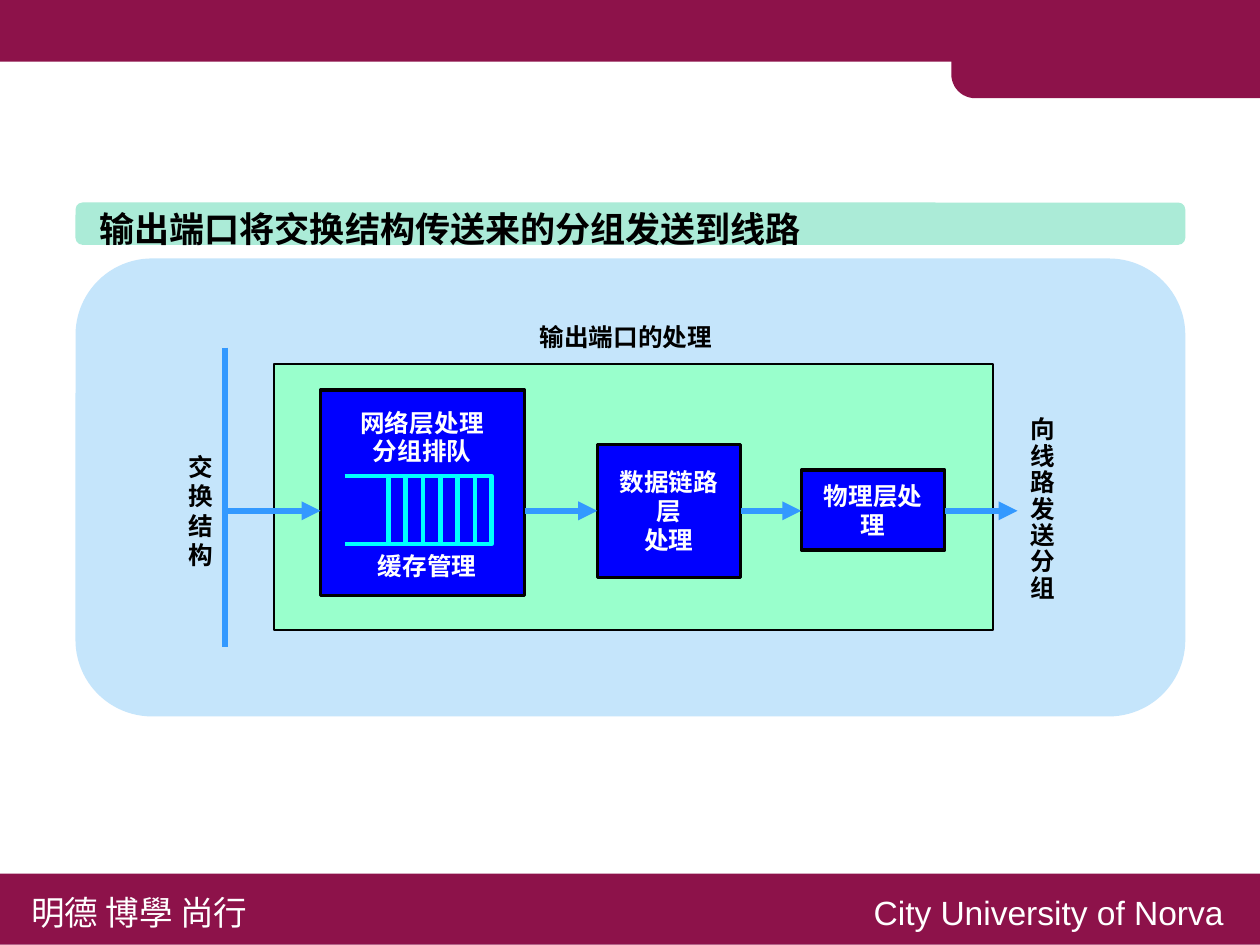
import lxml.etree
import pptx
import pptx.dml.color
import pptx.enum.shapes
import pptx.enum.text
import pptx.oxml.ns
import pptx.util

SHAPE = pptx.enum.shapes.MSO_SHAPE
ALIGN = pptx.enum.text.PP_ALIGN
ANCHOR = pptx.enum.text.MSO_ANCHOR
qn = pptx.oxml.ns.qn


class Theme:
    """Colours, fonts and type sizes of the slide."""
    maroon, white, black = "8D124A", "FFFFFF", "000000"
    panel, heading_band, port = "C5E5FB", "ABEBD7", "99FFCC"
    stage, flow, queue = "0000FF", "3399FF", "00FFFF"
    chinese, latin = "Noto Sans CJK SC", "Arial"
    heading_size, label_size, footer_size = 16.7, 11.7, 16
    leading = 1.2


class Canvas:
    """Draws on one slide; lengths are columns and rows of a 100 x 75 grid."""
    columns, rows = 100, 75

    def __init__(self, presentation, theme):
        self.theme = theme
        self.cell = presentation.slide_width / self.columns
        self.slide = presentation.slides.add_slide(presentation.slide_layouts[5])
        self.shapes = self.slide.shapes

    def grid(self, *lengths):
        return [round(length * self.cell) for length in lengths]

    def color(self, value):
        return pptx.dml.color.RGBColor.from_string(value)

    def outline(self, item, color, width):
        item.line.color.rgb = self.color(color)
        item.line.width = pptx.util.Pt(width)

    def fill_text(self, shape, lines, size, color, bold=True, align=ALIGN.CENTER,
                  font=None, anchor=ANCHOR.TOP, leading=1):
        frame = shape.text_frame
        font = font or self.theme.chinese
        frame_format = {
            "word_wrap": True, "auto_size": pptx.enum.text.MSO_AUTO_SIZE.NONE,
            "vertical_anchor": anchor,
            "margin_left": pptx.util.Inches(0.1), "margin_right": pptx.util.Inches(0.1),
            "margin_top": pptx.util.Inches(0.05), "margin_bottom": pptx.util.Inches(0.05),
        }
        for name, value in frame_format.items():
            setattr(frame, name, value)
        spacing = pptx.util.Pt(round(size * self.theme.leading * leading, 1))
        paragraph_format = {"alignment": align, "line_spacing": spacing,
                            "space_before": 0, "space_after": 0}
        font_format = {"name": font, "size": pptx.util.Pt(size), "bold": bold}
        frame.text = "\n".join(lines)
        for paragraph in frame.paragraphs:
            for name, value in paragraph_format.items():
                setattr(paragraph, name, value)
            for run in paragraph.runs:
                for name, value in font_format.items():
                    setattr(run.font, name, value)
                run.font.color.rgb = self.color(color)
                # East Asian glyphs take their own typeface entry
                lxml.etree.SubElement(run._r.get_or_add_rPr(), qn("a:ea"), typeface=font)

    def title(self, text, box):
        title = self.shapes.title
        for name, value in zip(("left", "top", "width", "height"), self.grid(*box)):
            setattr(title, name, value)
        self.fill_text(title, [text], self.theme.heading_size, self.theme.black,
                       align=ALIGN.LEFT)
        # Bring the heading in front of its band
        title.element.getparent().append(title.element)

    def text(self, lines, box, size=None, color=None, **style):
        shape = self.shapes.add_textbox(*self.grid(*box))
        self.fill_text(shape, lines, size or self.theme.label_size,
                       color or self.theme.black, **style)

    def block(self, box, fill, kind=SHAPE.RECTANGLE, border=None, corner=None):
        shape = self.shapes.add_shape(kind, *self.grid(*box))
        shape.shadow.inherit = False
        shape.fill.solid()
        shape.fill.fore_color.rgb = self.color(fill)
        if border:
            self.outline(shape, self.theme.black, border)
        else:
            shape.line.fill.background()
        if corner:
            shape.adjustments[0] = corner
        return shape

    def line(self, start, end, color, width, arrow=False):
        connector = self.shapes.add_connector(
            pptx.enum.shapes.MSO_CONNECTOR.STRAIGHT, *self.grid(*start, *end))
        self.outline(connector, color, width)
        properties = connector.element.spPr
        if arrow:
            lxml.etree.SubElement(properties.find(qn("a:ln")), qn("a:tailEnd"), type="triangle")
        lxml.etree.SubElement(properties, qn("a:effectLst"))

    def open_outline(self, points, color, width):
        first, *others = [self.grid(*point) for point in points]
        builder = self.shapes.build_freeform(*first)
        builder.add_line_segments(others, close=False)
        shape = builder.convert_to_shape()
        shape.shadow.inherit = False
        shape.fill.background()
        self.outline(shape, color, width)


def main():
    theme = Theme()
    presentation = pptx.Presentation()
    presentation.slide_width = pptx.util.Inches(8.33)
    presentation.slide_height = pptx.util.Inches(6.25)
    canvas = Canvas(presentation, theme)

    # Page frame: top band with its tab, footer band
    canvas.block((0, 0, 100, 4.9), theme.maroon)
    tab = canvas.block((75.5, 0.2, 24.5, 7.6), theme.maroon,
                       SHAPE.ROUND_1_RECTANGLE, corner=0.25)
    tab.rotation = 180
    canvas.block((0, 69.36, 100, 5.64), theme.maroon)
    footers = [("明德 博學 尚行", 1.32, 23, theme.chinese),
               ("City University of Norva", 68.16, 31.5, theme.latin)]
    for words, left, width, font in footers:
        canvas.text([words], (left, 70.2, width, 4.4), theme.footer_size, theme.white,
                    bold=False, align=ALIGN.LEFT, font=font)

    # Panel and heading
    rounded = SHAPE.ROUNDED_RECTANGLE
    canvas.block((6, 20.52, 88.08, 36.36), theme.panel, rounded, corner=0.167)
    canvas.block((6, 16.08, 88.08, 3.36), theme.heading_band, rounded, corner=0.167)
    canvas.title("输出端口将交换结构传送来的分组发送到线路", (6.72, 15.84, 60, 4.5))

    # Output port and its processing stages
    canvas.block((21.72, 28.92, 57.12, 21.12), theme.port, border=1)
    flow_row, bus_column, line_column = 40.56, 17.88, 80.76
    stages = [((25.44, 30.96, 16.2, 16.32), []),
              ((47.4, 35.28, 11.4, 10.56), ["数据链路层", "处理"]),
              ((63.6, 37.32, 11.4, 6.36), ["物理层处理"])]
    for box, lines in stages:
        stage = canvas.block(box, theme.stage, border=1.5)
        if lines:
            canvas.fill_text(stage, lines, theme.label_size, theme.white,
                             anchor=ANCHOR.MIDDLE)

    # Switching fabric bus, and arrows from each stage to the next
    starts = [bus_column] + [box[0] + box[2] for box, _ in stages]
    ends = [box[0] for box, _ in stages] + [line_column]
    for start, end in zip(starts, ends):
        canvas.line((start, flow_row), (end, flow_row), theme.flow, 3, arrow=True)
    canvas.line((bus_column, 27.6), (bus_column, 51.36), theme.flow, 3)

    # Packet queue
    left, right, top, bottom = 27.36, 39, 37.8, 43.2
    canvas.open_outline([(left, top), (right, top), (right, bottom), (left, bottom)],
                        theme.queue, 2.25)
    for index in range(6):
        column = 30.84 + 1.37 * index
        canvas.line((column, top), (column, bottom), theme.queue, 2.25)

    # Labels
    canvas.text(["网络层处理", "分组排队"], (27.3, 31.92, 12.4, 5.64),
                color=theme.white, leading=0.95)
    canvas.text(["缓存管理"], (28.4, 43.2, 11, 3.6), color=theme.white)
    canvas.text(["输出端口的处理"], (40.92, 24.96, 17.5, 3.6))
    canvas.text("向线路发送分组", (80.5, 32.52, 4.6, 16.08), leading=0.9)
    canvas.text("交换结构", (13.6, 35.28, 4.6, 10.68))

    presentation.save("out.pptx")


if __name__ == "__main__":
    main()
